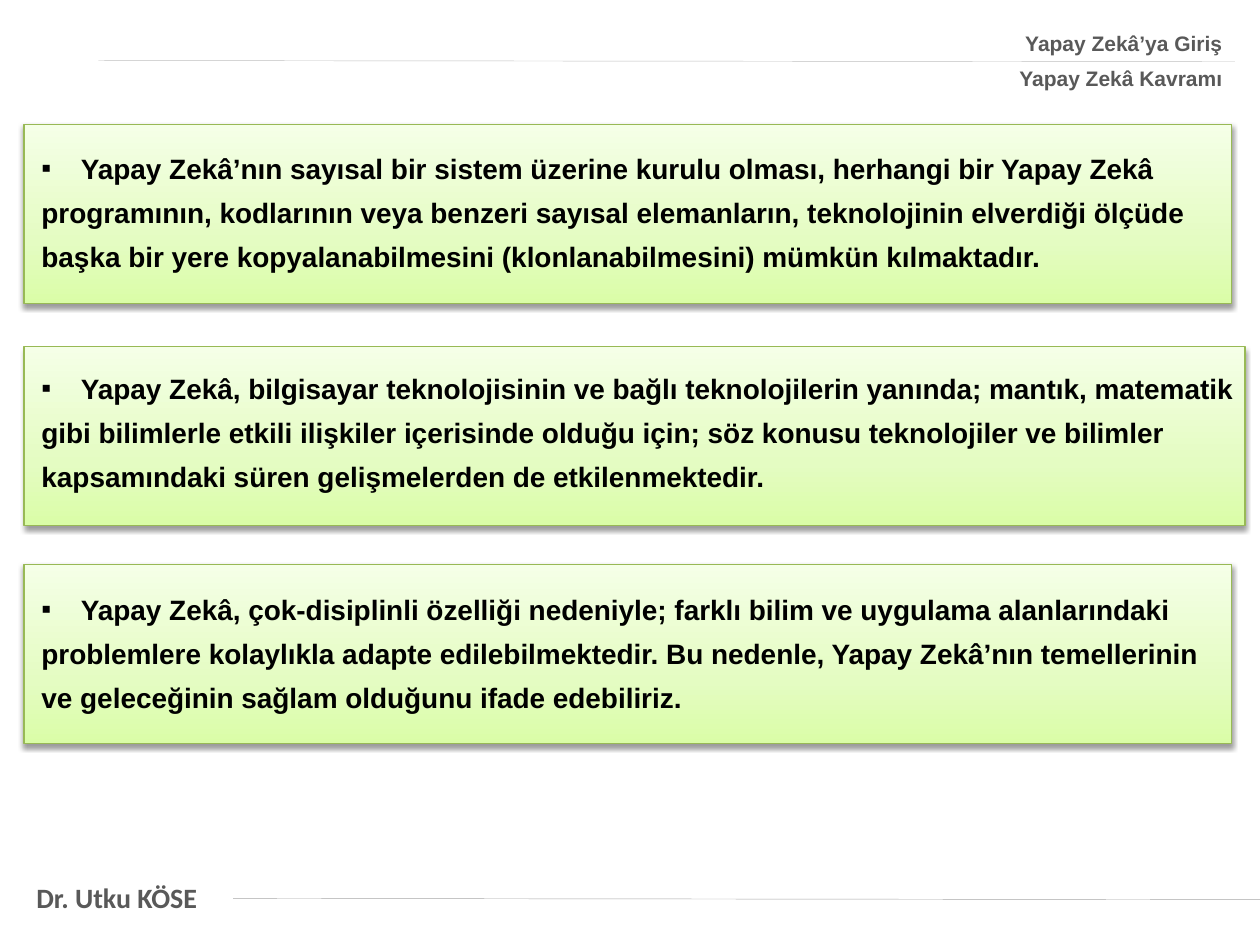
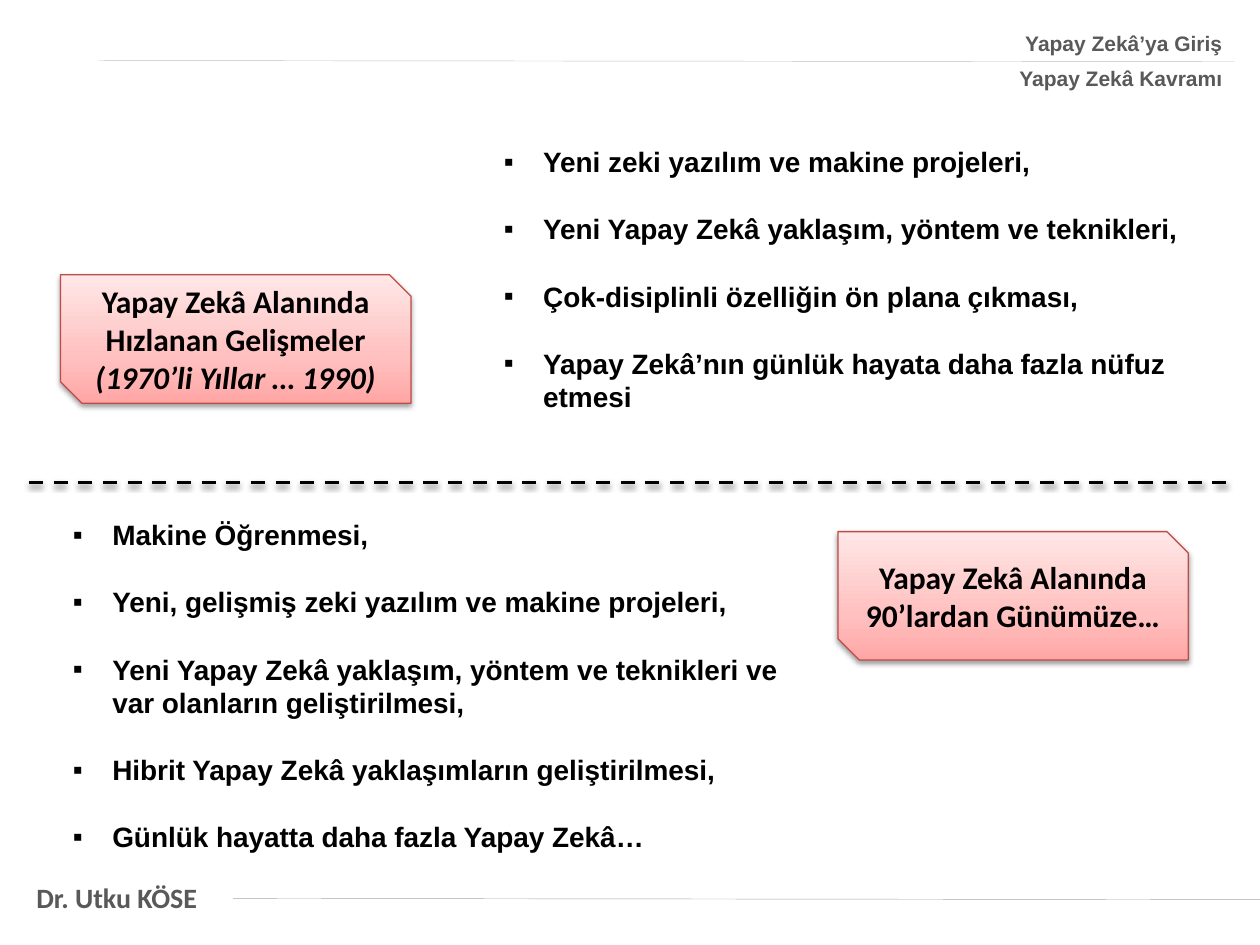
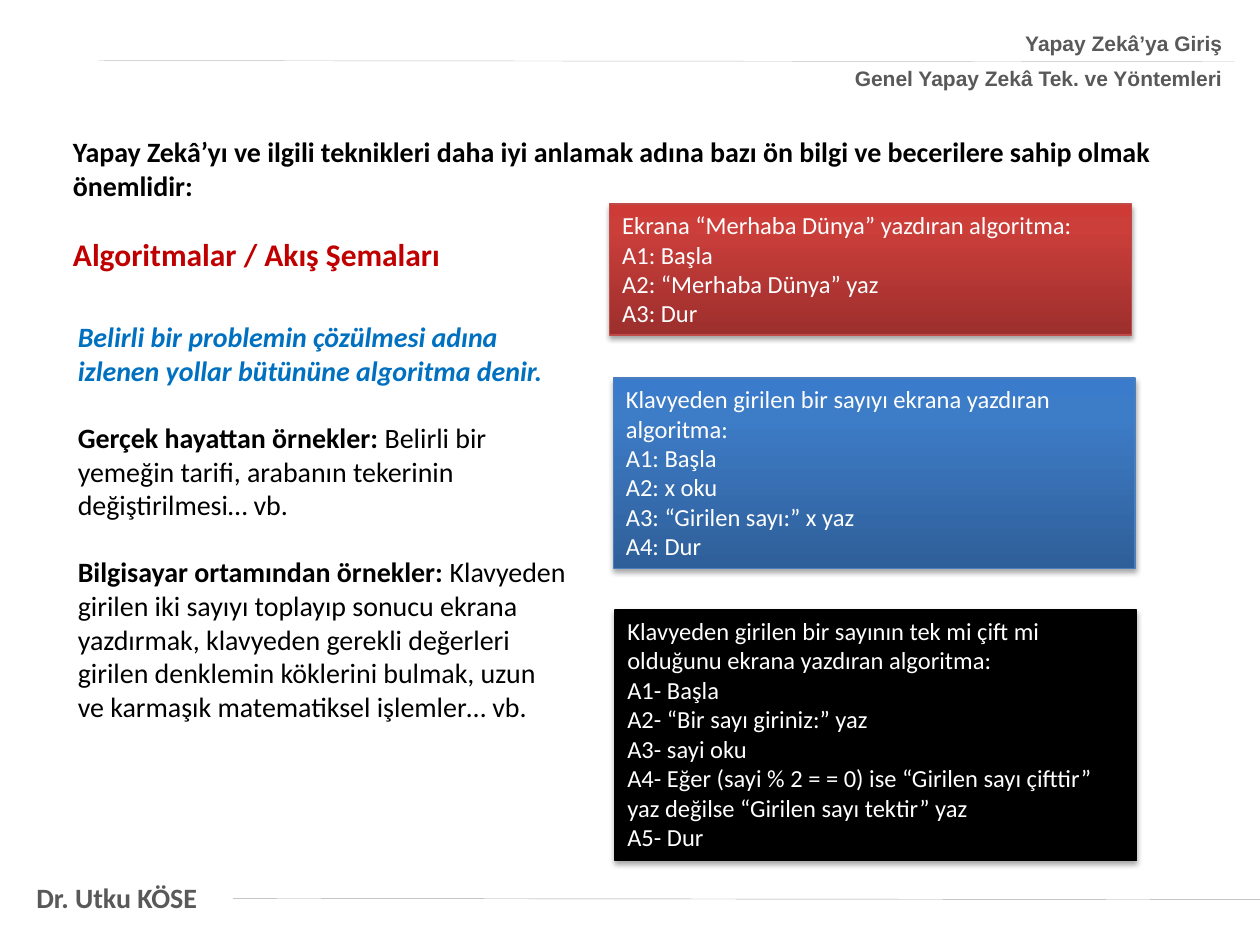
from lxml import etree
from pptx import Presentation
from pptx.dml.color import RGBColor
from pptx.enum.dml import MSO_LINE
from pptx.enum.shapes import MSO_CONNECTOR, MSO_SHAPE
from pptx.enum.text import MSO_ANCHOR, MSO_AUTO_SIZE, PP_ALIGN
from pptx.oxml.ns import qn
from pptx.util import Pt

RECTANGLE = MSO_SHAPE.RECTANGLE
SNIPPED = MSO_SHAPE.SNIP_2_DIAG_RECTANGLE
STRAIGHT = MSO_CONNECTOR.STRAIGHT
DASH = MSO_LINE.DASH
LEFT, CENTER, RIGHT = PP_ALIGN.LEFT, PP_ALIGN.CENTER, PP_ALIGN.RIGHT
TOP, MIDDLE = MSO_ANCHOR.TOP, MSO_ANCHOR.MIDDLE
GROW = MSO_AUTO_SIZE.SHAPE_TO_FIT_TEXT

BLACK = RGBColor(0x00, 0x00, 0x00)
WHITE = RGBColor(0xFF, 0xFF, 0xFF)
GRAY = RGBColor(0x59, 0x59, 0x59)
HEADER_RULE = RGBColor(0xBF, 0xBF, 0xBF)
FOOTER_RULE = RGBColor(0xA6, 0xA6, 0xA6)
HEADING_RED = RGBColor(0xC0, 0x00, 0x00)
DEFINITION_BLUE = RGBColor(0x00, 0x70, 0xC0)
GREEN_EDGE = RGBColor(0x98, 0xB9, 0x55)
RED_EDGE = RGBColor(0xBF, 0x4C, 0x48)
BLUE_EDGE = RGBColor(0x4B, 0x7E, 0xBC)


def gradient(positions, *colors):
    return [(position, RGBColor.from_string(color)) for position, color in zip(positions, colors)]


LIGHT_STOPS, DEEP_STOPS = (0, 35, 100), (0, 80, 100)
GREEN = gradient(LIGHT_STOPS, "DAFDA7", "E4FCC2", "F5FFE7")
PINK = gradient(LIGHT_STOPS, "FFA6A5", "FFC0BF", "FFE7E7")
DEEP_RED = gradient(DEEP_STOPS, "9C2F2D", "CB3E3A", "CE3B37")
DEEP_BLUE = gradient(DEEP_STOPS, "2F5F99", "3D7CC7", "3A7CCB")

SOFT_SHADOW = {"opacity": 38, "distance": 1.6}
DEEP_SHADOW = {"opacity": 35, "distance": 1.8}
BULLET_INDENT = 22.5
LINE_GAP = 19.2


def add_child(parent, tag, **attributes):
    child = etree.SubElement(parent, qn(tag))
    for name, value in attributes.items():
        child.set(name, str(value))
    return child


def add_color(parent, color):
    return add_child(parent, "a:srgbClr", val=color)


def add_shadow(effects, opacity, distance):
    shadow = add_child(effects, "a:outerShdw", blurRad=Pt(3.1), dist=Pt(distance),
                       dir=5400000, rotWithShape=0)
    add_child(add_color(shadow, BLACK), "a:alpha", val=opacity * 1000)


def add_run(paragraph, text, font="Calibri", size=16, color=BLACK, bold=False, italic=False):
    run = paragraph.add_run()
    run.text = text
    run.font.name = font
    run.font.size = Pt(size)
    run.font.color.rgb = color
    run.font.bold = bold
    run.font.italic = italic


def write(frame, text, bullet=False, before=0, after=0, align=LEFT, **font):
    is_first = not frame.paragraphs[0].runs
    paragraph = frame.paragraphs[0] if is_first else frame.add_paragraph()
    if bullet:
        properties = paragraph._p.get_or_add_pPr()
        properties.set("marL", str(Pt(BULLET_INDENT)))
        properties.set("indent", str(-Pt(BULLET_INDENT)))
        add_child(properties, "a:buFont", typeface="Arial")
        add_child(properties, "a:buChar", char="▪")
    paragraph.alignment = align
    paragraph.space_before = Pt(0 if is_first else before)
    paragraph.space_after = Pt(after)
    add_run(paragraph, text, **font)
    return paragraph


class Deck:
    def __init__(self):
        self.presentation = Presentation()
        self.presentation.slide_width = Pt(720)
        self.presentation.slide_height = Pt(540)
        self.slide = None

    def new_slide(self, topic):
        self.slide = self.presentation.slides.add_slide(self.presentation.slide_layouts[6])
        author = self.text_box(13.7, 499.7, 108, 26.6, wrap=False)
        write(author, "Dr. Utku KÖSE", color=GRAY, bold=True)
        self.line(133.2, 513.4, 720, 514.1, FOOTER_RULE)
        self.line(56.2, 34.6, 705.6, 35.3, HEADER_RULE)
        header = self.text_box(410.6, 13.7, 295, 42.5)
        for text in ("Yapay Zekâ’ya Giriş", topic):
            write(header, text, align=RIGHT, after=6, font="Arial", size=12, color=GRAY, bold=True)

    def text_box(self, left, top, width, height, wrap=True):
        box = self.slide.shapes.add_textbox(Pt(left), Pt(top), Pt(width), Pt(height))
        frame = box.text_frame
        frame.word_wrap = wrap
        frame.auto_size = GROW
        return frame

    def line(self, left, top, right, bottom, color, width=0.25, dash=None, shadow=None):
        connector = self.slide.shapes.add_connector(
            STRAIGHT, Pt(left), Pt(top), Pt(right), Pt(bottom))
        connector.line.color.rgb = color
        connector.line.width = Pt(width)
        if dash:
            connector.line.dash_style = dash
        effects = add_child(connector._element.spPr, "a:effectLst")
        if shadow:
            add_shadow(effects, **shadow)

    def panel(self, left, top, width, height, stops, edge, kind=RECTANGLE,
              shadow=SOFT_SHADOW, anchor=MIDDLE):
        shape = self.slide.shapes.add_shape(kind, Pt(left), Pt(top), Pt(width), Pt(height))
        if isinstance(stops, RGBColor):
            shape.fill.solid()
            shape.fill.fore_color.rgb = stops
        else:
            shape.fill.gradient()
            shape.fill.gradient_angle = 90
            stop_list = shape._element.spPr.find(qn("a:gradFill")).find(qn("a:gsLst"))
            stop_list.clear()
            for position, color in stops:
                add_color(add_child(stop_list, "a:gs", pos=position * 1000), color)
        shape.line.color.rgb = edge
        shape.line.width = Pt(0.75)
        shape.shadow.inherit = False
        add_shadow(shape._element.spPr.find(qn("a:effectLst")), **shadow)
        frame = shape.text_frame
        frame.word_wrap = True
        frame.vertical_anchor = anchor
        return frame

    def bullets(self, left, top, width, height, items):
        frame = self.text_box(left, top, width, height)
        for item in items:
            write(frame, item, bullet=True, before=LINE_GAP, font="Arial", bold=True)

    def label(self, left, top, *lines):
        frame = self.panel(left, top, 200.2, 73.4, PINK, RED_EDGE, kind=SNIPPED)
        for index, text in enumerate(lines):
            write(frame, text, align=CENTER, size=18, bold=True, italic=index > 0)

    def algorithm(self, left, top, height, stops, edge, lines):
        frame = self.panel(left, top, 298.1, height, stops, edge, shadow=DEEP_SHADOW, anchor=TOP)
        frame.auto_size = GROW
        for text in lines:
            write(frame, text, size=14, color=WHITE)


def build_properties(deck):
    deck.new_slide("Yapay Zekâ Kavramı")
    for top, width in ((71.3, 690), (198, 697.7), (322.6, 690)):
        deck.panel(13.7, top, width, 102.2, GREEN, GREEN_EDGE)
    statements = (
        ("Yapay Zekâ’nın sayısal bir sistem üzerine kurulu olması, herhangi bir Yapay Zekâ",
         "programının, kodlarının veya benzeri sayısal elemanların, teknolojinin elverdiği ölçüde",
         "başka bir yere kopyalanabilmesini (klonlanabilmesini) mümkün kılmaktadır."),
        ("Yapay Zekâ, bilgisayar teknolojisinin ve bağlı teknolojilerin yanında; mantık, matematik",
         "gibi bilimlerle etkili ilişkiler içerisinde olduğu için; söz konusu teknolojiler ve bilimler",
         "kapsamındaki süren gelişmelerden de etkilenmektedir."),
        ("Yapay Zekâ, çok-disiplinli özelliği nedeniyle; farklı bilim ve uygulama alanlarındaki",
         "problemlere kolaylıkla adapte edilebilmektedir. Bu nedenle, Yapay Zekâ’nın temellerinin",
         "ve geleceğinin sağlam olduğunu ifade edebiliriz."),
    )
    frame = deck.text_box(16.6, 82.8, 709.9, 331.9, wrap=False)
    for statement in statements:
        for index, text in enumerate(statement):
            write(frame, text, bullet=index == 0, before=3 if index else 53.4, after=3,
                  font="Arial", bold=True)


def build_developments(deck):
    deck.new_slide("Yapay Zekâ Kavramı")
    deck.label(34.6, 157, "Yapay Zekâ Alanında Hızlanan Gelişmeler", "(1970’li Yıllar … 1990)")
    deck.line(16.6, 275.8, 700.6, 275.8, BLACK, width=2, dash=DASH, shadow=SOFT_SHADOW)
    deck.label(478.8, 303.8, "Yapay Zekâ Alanında 90’lardan Günümüze…")
    deck.bullets(280.8, 79.2, 408.2, 162.7, (
        "Yeni zeki yazılım ve makine projeleri,",
        "Yeni Yapay Zekâ yaklaşım, yöntem ve teknikleri,",
        "Çok-disiplinli özelliğin ön plana çıkması,",
        "Yapay Zekâ’nın günlük hayata daha fazla nüfuz etmesi",
    ))
    deck.bullets(34.6, 292.3, 421.9, 200.9, (
        "Makine Öğrenmesi,",
        "Yeni, gelişmiş zeki yazılım ve makine projeleri,",
        "Yeni Yapay Zekâ yaklaşım, yöntem ve teknikleri ve var olanların geliştirilmesi,",
        "Hibrit Yapay Zekâ yaklaşımların geliştirilmesi,",
        "Günlük hayatta daha fazla Yapay Zekâ…",
    ))


def build_algorithms(deck):
    deck.new_slide("Genel Yapay Zekâ Tek. ve Yöntemleri")
    write(deck.text_box(34.6, 73.4, 663.1, 46.1),
          "Yapay Zekâ’yı ve ilgili teknikleri daha iyi anlamak adına bazı ön bilgi ve "
          "becerilere sahip olmak önemlidir:", bold=True)
    write(deck.text_box(34.6, 131, 308.2, 28.8), "Algoritmalar / Akış Şemaları",
          size=18, color=HEADING_RED, bold=True)

    explanation = deck.text_box(37.4, 179.3, 293.8, 239.8)
    write(explanation,
          "Belirli bir problemin çözülmesi adına izlenen yollar bütününe algoritma denir.",
          color=DEFINITION_BLUE, bold=True, italic=True)
    examples = (
        ("Gerçek hayattan örnekler: ",
         "Belirli bir yemeğin tarifi, arabanın tekerinin değiştirilmesi… vb."),
        ("Bilgisayar ortamından örnekler: ",
         "Klavyeden girilen iki sayıyı toplayıp sonucu ekrana yazdırmak, klavyeden gerekli "
         "değerleri girilen denklemin köklerini bulmak, uzun ve karmaşık matematiksel "
         "işlemler… vb."),
    )
    for heading, example in examples:
        add_run(write(explanation, heading, before=LINE_GAP, bold=True), example)

    deck.algorithm(348.5, 116.6, 74.9, DEEP_RED, RED_EDGE, (
        "Ekrana “Merhaba Dünya” yazdıran algoritma:",
        "A1: Başla",
        "A2: “Merhaba Dünya” yaz",
        "A3: Dur",
    ))
    deck.algorithm(350.6, 216, 108.7, DEEP_BLUE, BLUE_EDGE, (
        "Klavyeden girilen bir sayıyı ekrana yazdıran algoritma:",
        "A1: Başla",
        "A2: x oku",
        "A3: “Girilen sayı:” x yaz",
        "A4: Dur",
    ))
    deck.algorithm(351.4, 348.5, 143.3, BLACK, BLACK, (
        "Klavyeden girilen bir sayının tek mi çift mi olduğunu ekrana yazdıran algoritma:",
        "A1- Başla",
        "A2- “Bir sayı giriniz:” yaz",
        "A3- sayi oku",
        "A4- Eğer (sayi % 2 = = 0) ise “Girilen sayı çifttir” yaz değilse "
        "“Girilen sayı tektir” yaz",
        "A5- Dur",
    ))


def main():
    deck = Deck()
    build_properties(deck)
    build_developments(deck)
    build_algorithms(deck)
    deck.presentation.save("out.pptx")


if __name__ == "__main__":
    main()
